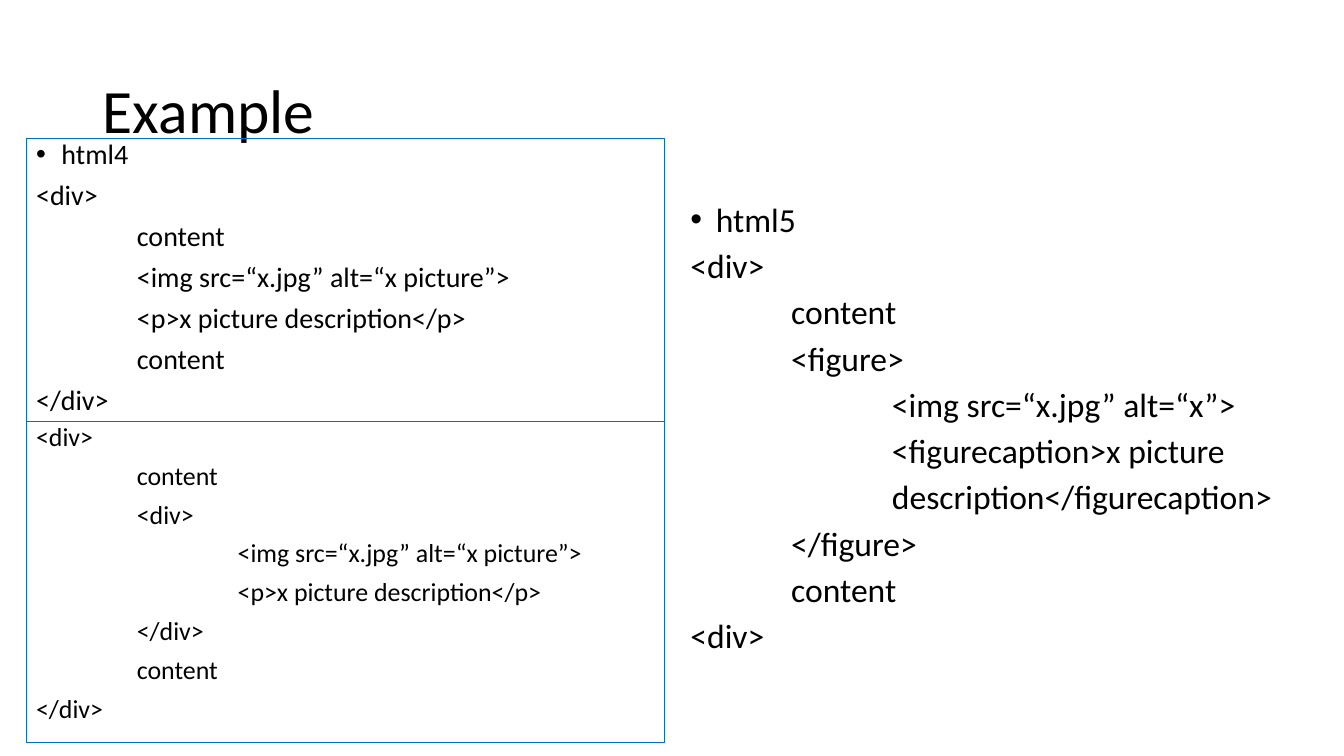
from pptx import Presentation
from pptx.dml.color import RGBColor
from pptx.enum.text import MSO_ANCHOR, PP_ALIGN
from pptx.oxml.ns import qn
from pptx.util import Cm, Pt
from lxml.etree import SubElement

COLORS = {"text": "000000", "border": "0070C0"}
FONT = "Calibri"
TITLE = ("Example", (2.34, 1.02, 29.21, 3.68), 44)

# Each line of code is (nesting depth, text).
HTML4 = [
    (0, "<div>"),
    (1, "content"),
    (1, "<img src=“x.jpg” alt=“x picture”>"),
    (1, "<p>x picture description</p>"),
    (1, "content"),
    (0, "</div>"),
]
HTML4_NESTED = [
    (0, "<div>"),
    (1, "content"),
    (1, "<div>"),
    (2, "<img src=“x.jpg” alt=“x picture”>"),
    (2, "<p>x picture description</p>"),
    (1, "</div>"),
    (1, "content"),
    (0, "</div>"),
]
HTML5 = [
    (0, "<div>"),
    (1, "content"),
    (1, "<figure>"),
    (2, "<img src=“x.jpg” alt=“x”>"),
    (2, "<figurecaption>x picture "),
    (2, "description</figurecaption>"),
    (1, "</figure>"),
    (1, "content"),
    (0, "<div>"),
]
PANELS = [
    {"heading": "html4", "code": HTML4, "box": (0.66, 3.49, 16.08, 7.13),
     "size": 20, "border": True},
    {"heading": "html5", "code": HTML5, "box": (17.15, 5.08, 16.08, 12.09),
     "size": 24, "border": False},
    {"heading": None, "code": HTML4_NESTED, "box": (0.66, 10.62, 16.08, 8.1),
     "size": 18.5, "border": True},
]
TAB, HANGING = Cm(2.54), Cm(0.64)


def rgb(name):
    """Return the named palette colour."""
    return RGBColor.from_string(COLORS[name])


def set_all(obj, values):
    """Set every attribute in a dict of format values."""
    for name, value in values.items():
        setattr(obj, name, value)


def place(sp, box):
    """Position a shape from left, top, width and height in centimetres."""
    set_all(sp, dict(zip(("left", "top", "width", "height"), map(Cm, box))))


def write(p, text, size):
    """Add one run of text to a paragraph."""
    r = p.add_run()
    r.text = text
    set_all(r.font, {"size": Pt(size), "name": FONT})
    r.font.color.rgb = rgb("text")


def add_bullet(p):
    """Give a paragraph a round bullet with a hanging indent."""
    pPr = p._p.get_or_add_pPr()
    pPr.set("marL", str(HANGING))
    pPr.set("indent", str(-HANGING))
    SubElement(pPr, qn("a:buFont"), typeface="Arial")
    SubElement(pPr, qn("a:buChar"), char="•")


def add_tabs(p, depth):
    """Set one left tab stop for each nesting depth."""
    tabs = SubElement(p._p.get_or_add_pPr(), qn("a:tabLst"))
    for stop in range(1, depth + 1):
        SubElement(tabs, qn("a:tab"), pos=str(TAB * stop), algn="l")


def add_panel(s, heading, code, box, size, border):
    """Add a code listing with an optional bulleted heading and border."""
    sp = s.shapes.add_textbox(0, 0, 0, 0)
    place(sp, box)
    if border:
        sp.line.color.rgb = rgb("border")
        sp.line.width = Pt(0.75)
    tf = sp.text_frame
    tf.word_wrap = True
    lines = ([(0, heading)] if heading else []) + code
    for i, (depth, text) in enumerate(lines):
        p = tf.add_paragraph() if i else tf.paragraphs[0]
        set_all(p, {"line_spacing": 0.8, "space_before": Pt(10)})
        if heading and i == 0:
            add_bullet(p)
        if depth:
            add_tabs(p, depth)
        write(p, "\t" * depth + text, size)


def add_title(s, text, box, size):
    """Fill and format the title placeholder."""
    sp = s.shapes.title
    place(sp, box)
    set_all(sp.text_frame, {"vertical_anchor": MSO_ANCHOR.MIDDLE, "word_wrap": True})
    p = sp.text_frame.paragraphs[0]
    set_all(p, {"alignment": PP_ALIGN.LEFT, "line_spacing": 0.9})
    write(p, text, size)


prs = Presentation()
set_all(prs, {"slide_width": Cm(33.87), "slide_height": Cm(19.05)})
s = prs.slides.add_slide(prs.slide_layouts[5])
add_title(s, *TITLE)
for panel in PANELS:
    add_panel(s, **panel)
prs.save("out.pptx")
